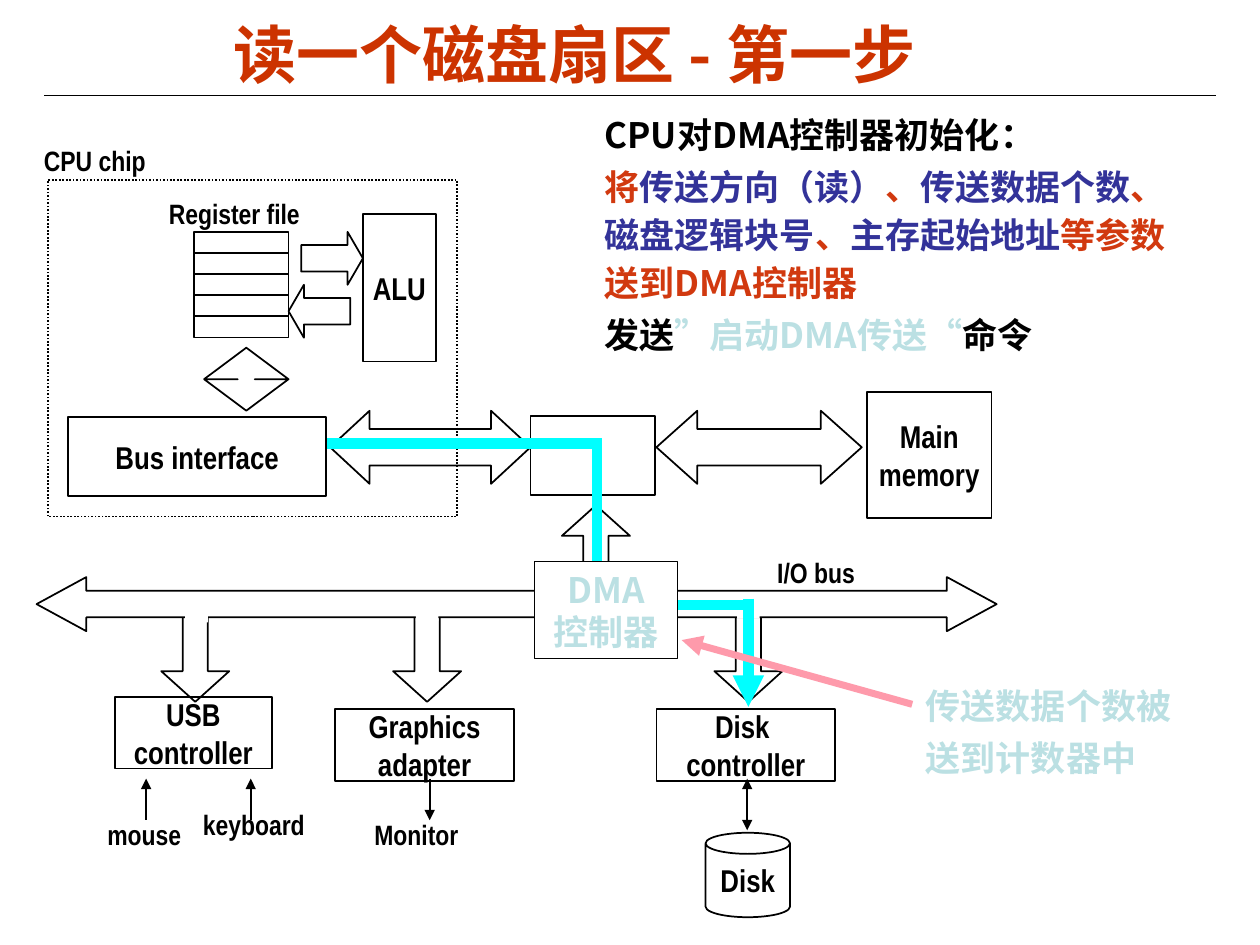
from dataclasses import dataclass

from lxml.etree import SubElement
from pptx import Presentation
from pptx.dml.color import RGBColor
from pptx.enum.dml import MSO_LINE_DASH_STYLE as Dash
from pptx.enum.shapes import MSO_CONNECTOR as Connector, MSO_SHAPE as Shape
from pptx.enum.text import MSO_ANCHOR as Anchor, MSO_AUTO_SIZE as AutoSize, PP_ALIGN as Align
from pptx.oxml.ns import qn
from pptx.util import Inches, Pt


@dataclass(frozen=True)
class Theme:
    latin: str = "Arial Narrow"
    chinese: str = "Noto Sans CJK SC"
    black: str = "000000"
    white: str = "FFFFFF"
    title: str = "CC3300"
    red: str = "D1390F"
    blue: str = "333399"
    pale: str = "BBE0E3"
    cyan: str = "00FFFF"
    pink: str = "FE9AAB"
    title_size: int = 36
    body_size: int = 20
    box_size: int = 18
    label_size: int = 16
    outline: float = 1


THEME = Theme()


def set_values(target, values):
    for name, value in values.items():
        setattr(target, name, value)


def write(box, paragraphs, size, font=THEME.latin, align=Align.CENTER,
          anchor=Anchor.MIDDLE, wrap=False, fit=AutoSize.NONE, spacing=None, before=0):
    """Fill a box; each paragraph is a list of (text, colour) spans."""
    frame = box.text_frame
    set_values(frame, {"word_wrap": wrap, "auto_size": fit, "vertical_anchor": anchor})
    for index, spans in enumerate(paragraphs):
        para = frame.add_paragraph() if index else frame.paragraphs[0]
        set_values(para, {"alignment": align, "line_spacing": spacing,
                          "space_before": Pt(before if index else 0)})
        for text, color in spans:
            span = para.add_run()
            span.text = text
            set_values(span.font, {"size": Pt(size), "bold": True, "name": font})
            span.font.color.rgb = RGBColor.from_string(color)
            if font == THEME.chinese:
                SubElement(span.font._element, qn("a:ea"), typeface=font)


def add_text(page, bounds, paragraphs, size, **options):
    box = page.shapes.add_textbox(*map(Inches, bounds))
    write(box, paragraphs, size, **options)


def add_label(page, bounds, text, align=Align.CENTER):
    add_text(page, bounds, [[(text, THEME.black)]], THEME.label_size,
             align=align, fit=AutoSize.SHAPE_TO_FIT_TEXT)


def add_block(page, kind, bounds, lines=(), adjust=(), fill=None,
              width=THEME.outline, dash=None):
    block = page.shapes.add_shape(kind, *map(Inches, bounds))
    block.shadow.inherit = False
    for index, value in enumerate(adjust):
        block.adjustments[index] = value
    if fill:
        block.fill.solid()
        block.fill.fore_color.rgb = RGBColor.from_string(fill)
    else:
        block.fill.background()
    if width:
        block.line.color.rgb = RGBColor.from_string(THEME.black)
        block.line.width = Pt(width)
        if dash:
            block.line.dash_style = dash
    else:
        block.line.fill.background()
    if lines:
        write(block, [[(line, THEME.black)] for line in lines], THEME.box_size)
    return block


def add_line(page, start, end, color=THEME.black, width=THEME.outline, ends=()):
    line = page.shapes.add_connector(Connector.STRAIGHT, *map(Inches, (*start, *end)))
    line.line.color.rgb = RGBColor.from_string(color)
    line.line.width = Pt(width)
    for end_name in ends:
        SubElement(line.line._get_or_add_ln(), qn(f"a:{end_name}End"), type="triangle")
    SubElement(line._element.spPr, qn("a:effectLst"))


def draw_heading(page):
    add_line(page, (0.35, 0.76), (9.65, 0.76), width=0.75)
    add_text(page, (0.41, 0.11, 8.3, 0.62), [[("读一个磁盘扇区 - 第一步", THEME.title)]],
             THEME.title_size, font=THEME.chinese, wrap=True)


def draw_cpu_and_memory(page):
    add_block(page, Shape.RECTANGLE, (6.88, 3.11, 0.99, 1), ["Main", "memory"])
    add_block(page, Shape.LEFT_RIGHT_ARROW, (5.21, 3.26, 1.63, 0.58), adjust=(0.5, 0.56))
    add_block(page, Shape.RECTANGLE, (4.21, 3.3, 0.99, 0.63))
    add_block(page, Shape.LEFT_RIGHT_ARROW, (2.62, 3.26, 1.59, 0.58), adjust=(0.5, 0.54))

    # Registers and ALU
    for row in range(5):
        add_block(page, Shape.RECTANGLE, (1.54, 1.84 + row * 0.1675, 0.75, 0.17))
    for kind, left, top in ((Shape.RIGHT_ARROW, 2.39, 1.84), (Shape.LEFT_ARROW, 2.29, 2.26)):
        add_block(page, kind, (left, top, 0.49, 0.42), adjust=(0.5, 0.29))
    add_block(page, Shape.RECTANGLE, (2.88, 1.7, 0.58, 1.17), ["ALU"])
    add_label(page, (1.24, 1.51, 1.24, 0.37), "Register file")
    add_block(page, Shape.UP_DOWN_ARROW, (1.62, 2.76, 0.67, 0.5), adjust=(0.5, 0.2))

    # Chip boundary
    add_block(page, Shape.RECTANGLE, (0.38, 1.43, 3.25, 2.67), dash=Dash.ROUND_DOT)
    add_label(page, (0.25, 1.09, 1.01, 0.37), "CPU chip", Align.LEFT)


def draw_devices(page):
    branch = {"adjust": (0.37, 0.45)}
    add_block(page, Shape.UP_ARROW, (4.46, 4.01, 0.54, 0.75), **branch)
    controllers = (
        (5.67, (5.21, 5.63, 1.42, 0.57), ["Disk ", "controller"]),
        (3.12, (2.66, 5.63, 1.42, 0.57), ["Graphics", "adapter"]),
        (1.28, (0.91, 5.53, 1.25, 0.57), ["USB", "controller"]),
    )
    for arrow_left, bounds, lines in controllers:
        add_block(page, Shape.DOWN_ARROW, (arrow_left, 4.82, 0.54, 0.75), **branch)
        add_block(page, Shape.RECTANGLE, bounds, lines)

    # Peripherals
    for x, bottom, ends in ((1.16, 6.51, ["head"]), (1.99, 6.51, ["head"]),
                            (3.41, 6.51, ["tail"]), (5.93, 6.59, ["head", "tail"])):
        add_line(page, (x, 6.18), (x, bottom), ends=ends)
    for text, left, top, width in (("mouse", 0.75, 6.44, 0.79), ("keyboard", 1.51, 6.36, 1.01),
                                   ("Monitor", 2.87, 6.44, 0.87)):
        add_label(page, (left, top, width, 0.37), text)
    add_block(page, Shape.CAN, (5.6, 6.61, 0.67, 0.67), ["Disk"], adjust=(0.25,))


def draw_io_bus(page):
    add_block(page, Shape.LEFT_RIGHT_ARROW, (0.29, 4.58, 7.62, 0.43),
              adjust=(0.49, 0.92), fill=THEME.white)
    # White patches open the bus into its branches
    for left, top in ((1.47, 4.77), (3.3, 4.76), (5.85, 4.74)):
        add_block(page, Shape.RECTANGLE, (left, top, 0.18, 0.17), fill=THEME.white, width=0)
    add_label(page, (6.07, 4.36, 0.82, 0.37), "I/O bus", Align.LEFT)


def draw_command_route(page):
    for start, end, ends in (((2.58, 3.52), (4.78, 3.52), ()),
                             ((4.74, 3.52), (4.74, 4.77), ()),
                             ((4.7, 4.8), (5.93, 4.8), ()),
                             ((5.94, 4.75), (5.94, 5.61), ["tail"])):
        add_line(page, start, end, THEME.cyan, 6, ends)
    add_block(page, Shape.RECTANGLE, (0.54, 3.31, 2.05, 0.63), ["Bus interface"])


def draw_notes(page):
    black, red, blue, pale = THEME.black, THEME.red, THEME.blue, THEME.pale
    style = {"size": THEME.body_size, "font": THEME.chinese, "anchor": Anchor.TOP,
             "wrap": True, "fit": AutoSize.SHAPE_TO_FIT_TEXT}
    add_text(page, (4.7, 0.8, 4.91, 2.09), [
        [("CPU对DMA控制器初始化：", black)],
        [("将", red), ("传送方向（读）", blue), ("、", red), ("传送数据个数", blue),
         ("、 ", red), ("磁盘逻辑块号", blue), ("、", red), ("主存起始地址", blue),
         ("等参数送到DMA控制器", red)],
        [("发送", black), ("”启动DMA传送“", pale), ("命令", black)],
    ], align=Align.LEFT, spacing=1.15, before=2, **style)

    # DMA controller and its counter
    controller = add_block(page, Shape.RECTANGLE, (4.24, 4.46, 1.14, 0.77),
                           fill=THEME.white, width=0.5)
    write(controller, [[("DMA", pale)], [("控制器", pale)]], **style)
    add_text(page, (7.25, 5.3, 2.16, 0.93), [[("传送数据个数被送到计数器中", pale)]],
             align=Align.LEFT, spacing=1.25, **style)
    add_line(page, (7.24, 5.59), (5.41, 5.08), THEME.pink, 4, ["tail"])


def main():
    deck = Presentation()
    set_values(deck, {"slide_width": Inches(10), "slide_height": Inches(7.5)})
    page = deck.slides.add_slide(deck.slide_layouts[6])
    for draw in (draw_heading, draw_cpu_and_memory, draw_devices, draw_io_bus,
                 draw_command_route, draw_notes):
        draw(page)
    deck.save("out.pptx")


if __name__ == "__main__":
    main()
